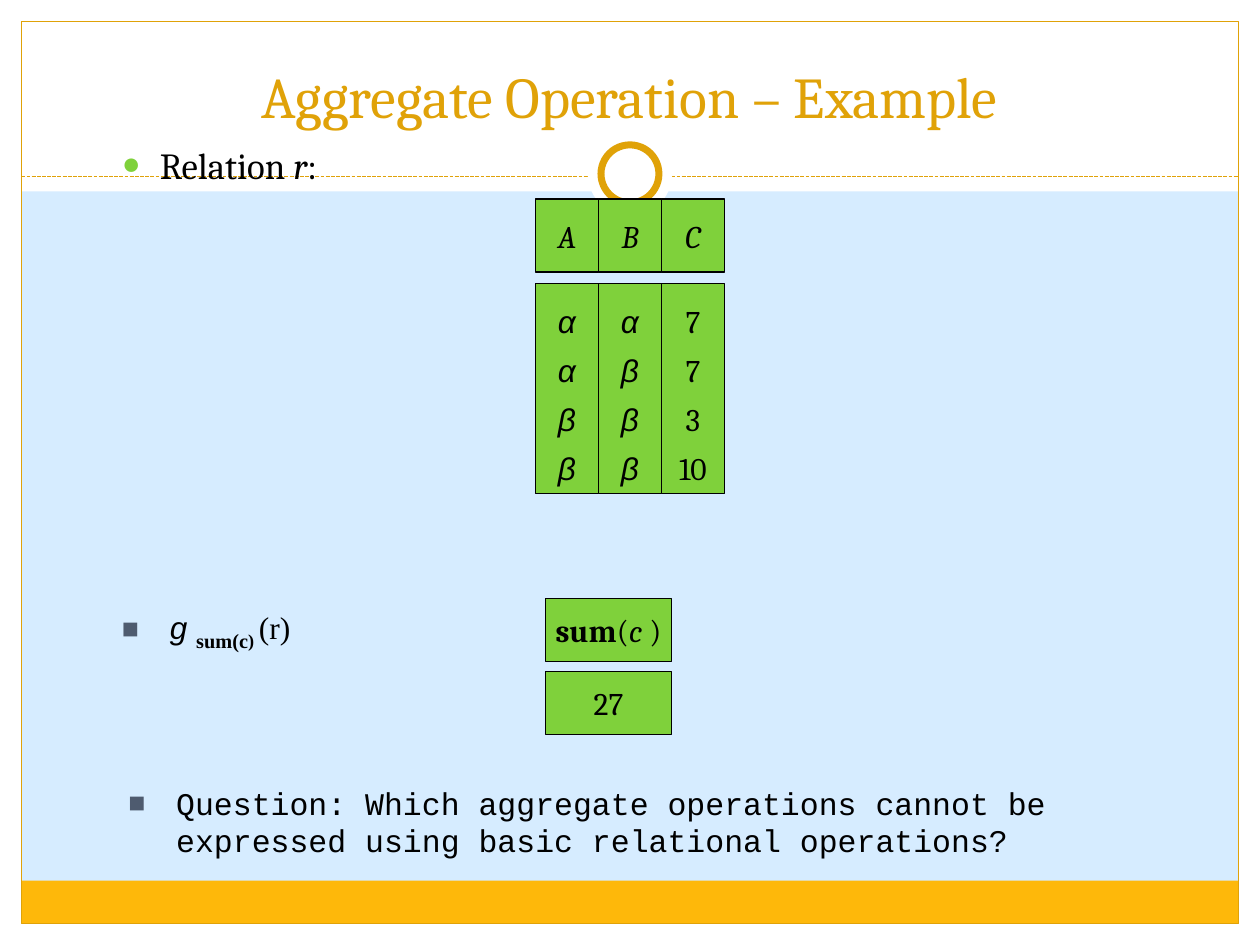
from pptx import Presentation
from pptx.dml.color import RGBColor
from pptx.enum.dml import MSO_LINE
from pptx.enum.shapes import MSO_CONNECTOR, MSO_SHAPE
from pptx.enum.text import MSO_ANCHOR, PP_ALIGN
from pptx.oxml.ns import qn
from pptx.util import Inches, Pt
from lxml.etree import SubElement

COLORS = {"sky": "D6ECFF", "white": "FFFFFF", "gold": "E0A208", "amber": "FEB80A",
          "green": "7FD13B", "slate": "4E5B6F", "black": "000000"}
WIDTH, HEIGHT = 10, 7.5
MARGIN = 0.17
HEADER_HEIGHT = 1.52


def color(name):
    return RGBColor.from_string(COLORS[name])


def add_box(page, kind, bounds, fill=None, line=None, weight=0.75):
    box = page.shapes.add_shape(kind, *map(Inches, bounds))
    box.shadow.inherit = False
    if fill:
        box.fill.solid()
        box.fill.fore_color.rgb = color(fill)
    else:
        box.fill.background()
    if line:
        box.line.color.rgb = color(line)
        box.line.width = Pt(weight)
    else:
        box.line.fill.background()
    return box


def add_span(para, text, size=18, font="Cambria", tint="black",
             bold=False, italic=False, baseline=None):
    span = para.add_run()
    span.text = text
    span.font.size = Pt(size)
    span.font.name = font
    span.font.color.rgb = color(tint)
    span.font.bold = bold
    span.font.italic = italic
    if baseline:
        span._r.get_or_add_rPr().set("baseline", str(baseline * 1000))


def add_bullet(para, mark, tint, percent, indent):
    props = para._p.get_or_add_pPr()
    props.set("marL", str(Inches(indent)))
    props.set("indent", str(-Inches(indent)))
    holder = SubElement(props, qn("a:buClr"))
    SubElement(holder, qn("a:srgbClr")).set("val", COLORS[tint])
    SubElement(props, qn("a:buSzPct")).set("val", str(percent * 1000))
    SubElement(props, qn("a:buFont")).set("typeface", "Arial")
    SubElement(props, qn("a:buChar")).set("char", mark)


def add_text_box(page, bounds):
    box = page.shapes.add_textbox(*map(Inches, bounds))
    box.text_frame.word_wrap = True
    return box.text_frame


def add_backdrop(page):
    page.background.fill.solid()
    page.background.fill.fore_color.rgb = color("sky")
    inner = WIDTH - 2 * MARGIN
    for bounds in ((0, HEIGHT - MARGIN, WIDTH, MARGIN), (0, 0, WIDTH, HEADER_HEIGHT),
                   (0, 0, MARGIN, HEIGHT), (WIDTH - MARGIN, 0, MARGIN, HEIGHT)):
        add_box(page, MSO_SHAPE.RECTANGLE, bounds, "white")
    add_box(page, MSO_SHAPE.RECTANGLE, (MARGIN, 6.99, inner, 0.34), "amber")
    add_box(page, MSO_SHAPE.RECTANGLE, (MARGIN, MARGIN, inner, HEIGHT - 2 * MARGIN),
            line="gold")
    divider = page.shapes.add_connector(
        MSO_CONNECTOR.STRAIGHT, Inches(MARGIN), Inches(1.4),
        Inches(WIDTH - MARGIN), Inches(1.4))
    divider.line.color.rgb = color("gold")
    divider.line.width = Pt(0.75)
    divider.line.dash_style = MSO_LINE.SQUARE_DOT
    SubElement(divider._element.spPr, qn("a:effectLst"))
    for diameter, line in ((0.67, None), (0.46, "gold")):
        bounds = (WIDTH / 2 - diameter / 2, 1.38 - diameter / 2, diameter, diameter)
        add_box(page, MSO_SHAPE.OVAL, bounds, "white", line, 4)


def add_title(page, bounds, text):
    frame = add_text_box(page, bounds)
    frame.vertical_anchor = MSO_ANCHOR.BOTTOM
    para = frame.paragraphs[0]
    para.alignment = PP_ALIGN.CENTER
    add_span(para, text, 33, tint="gold")


def add_point(page, bounds, spans, mark="■", tint="slate", percent=90,
              indent=0.38, spacing=None):
    para = add_text_box(page, bounds).paragraphs[0]
    if spacing:
        para.line_spacing = spacing
    add_bullet(para, mark, tint, percent, indent)
    for text, style in spans:
        add_span(para, text, **style)


def add_cell(page, bounds, lines, spacing=None):
    """Draw a green cell; each line is a list of (text, style) spans."""
    frame = add_box(page, MSO_SHAPE.RECTANGLE, bounds, "green", "black").text_frame
    frame.word_wrap = False
    frame.vertical_anchor = MSO_ANCHOR.MIDDLE
    for index, spans in enumerate(lines):
        para = frame.add_paragraph() if index else frame.paragraphs[0]
        para.alignment = PP_ALIGN.CENTER
        if spacing:
            para.line_spacing = spacing
        for text, style in spans:
            add_span(para, text, **style)


def add_relation(page, left, top, columns):
    width, head_height, body_offset, body_height = 0.5, 0.58, 0.67, 1.67
    for index, (name, values, style) in enumerate(columns):
        x = left + index * width
        add_cell(page, (x, top, width, head_height), [[(name, {"italic": True})]])
        add_cell(page, (x, top + body_offset, width, body_height),
                 [[(value, style)] for value in values], 1.3)


def add_result(page, left, top):
    heading = [("sum", {"bold": True}), ("(", {}), ("c ", {"italic": True}), (")", {})]
    for index, spans in enumerate((heading, [("27", {})])):
        add_cell(page, (left, top + index * 0.58, 1, 0.5), [spans])


def main():
    deck = Presentation()
    deck.slide_width, deck.slide_height = Inches(WIDTH), Inches(HEIGHT)
    page = deck.slides.add_slide(deck.slide_layouts[6])
    greek = {"font": "Arial", "italic": True}
    serif = {"font": "Times New Roman"}
    subscript = {**serif, "bold": True, "baseline": -25}

    add_backdrop(page)
    add_title(page, (0.33, 0.25, 9.33, 0.83), "Aggregate Operation – Example")
    add_point(page, (0.87, 1.18, 1.93, 0.63),
              [("Relation ", {"size": 21}), ("r", {"size": 21, "italic": True}),
               (":", {"size": 21})], "●", "green", 85, 0.3, 0.7)
    add_relation(page, 4.25, 1.58, [("A", "ααββ", greek), ("B", "αβββ", greek),
                                    ("C", ("7", "7", "3", "10"), {})])
    add_point(page, (0.87, 4.75, 2.2, 0.61),
              [("g ", greek), ("sum(c", {**subscript, "size": 20}),
               (") ", subscript), ("(r)", serif)])
    add_result(page, 4.33, 4.75)
    add_point(page, (0.92, 6.17, 7.83, 0.83),
              [("Question: Which aggregate operations cannot be expressed "
                "using basic relational operations?", {"font": "Courier New"})])
    deck.save("out.pptx")


if __name__ == "__main__":
    main()
